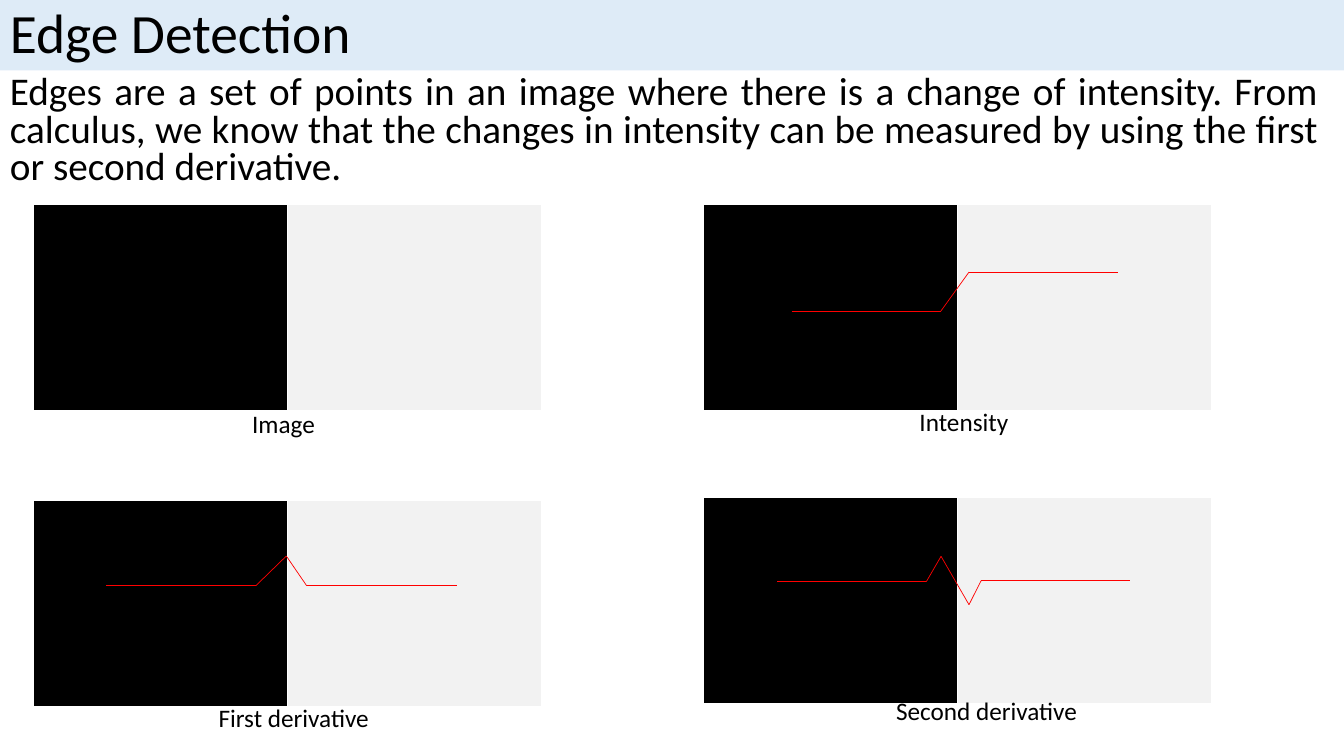
from itertools import pairwise

from lxml import etree
from pptx import Presentation
from pptx.dml.color import RGBColor
from pptx.enum.shapes import MSO_CONNECTOR, MSO_SHAPE
from pptx.enum.text import MSO_ANCHOR, PP_ALIGN
from pptx.oxml.ns import qn
from pptx.util import Inches, Pt

# Content
TITLE = "Edge Detection"
DEFINITION = (
    "Edges are a set of points in an image where there is a change of intensity. "
    "From calculus, we know that the changes in intensity can be measured by using "
    "the first or second derivative."
)
# Caption boxes (left, top, width) and curve points are percentages of the panel.
PANELS = [
    {"caption": "Image", "column": 0, "top": 2.03,
     "caption_box": (41.1, 95.6, 31.3), "curve": []},
    {"caption": "Intensity", "column": 1, "top": 2.03,
     "caption_box": (40.5, 94.7, 31.3),
     "curve": [(17.3, 51.5), (46.6, 51.5), (52.2, 32.5), (81.5, 32.5)]},
    {"caption": "First derivative", "column": 0, "top": 4.96,
     "caption_box": (34.5, 95.1, 35.1),
     "curve": [(14.3, 41.3), (43.8, 41.3), (49.8, 27), (53.8, 41.3), (83.3, 41.3)]},
    {"caption": "Second derivative", "column": 1, "top": 4.93,
     "caption_box": (35.9, 93.2, 42.5),
     "curve": [(14.5, 40.8), (43.8, 40.8), (46.7, 28.6), (52.2, 51.9),
               (54.6, 40.3), (83.9, 40.3)]},
]

# Layout and style
SLIDE_W, SLIDE_H = 13.33, 7.5
BAND_H = 0.7
PANEL_W, PANEL_H = 5.04, 2.06
FIRST_LEFT, COLUMN_STEP = 0.33, 6.65
FONT = "Calibri"
COLORS = {"band": "DEEBF7", "dark": "000000", "light": "F2F2F2",
          "curve": "FF0000", "border": "FFFFFF", "text": "000000"}
BORDERS = {"a:lnL": 1, "a:lnR": 1, "a:lnT": 1, "a:lnB": 3}


def rgb(name):
    return RGBColor.from_string(COLORS[name])


def write(shape, words, size, align=PP_ALIGN.LEFT, spacing=1.0, anchor=MSO_ANCHOR.TOP):
    frame = shape.text_frame
    frame.word_wrap = True
    frame.vertical_anchor = anchor
    paragraph = frame.paragraphs[0]
    paragraph.alignment = align
    paragraph.line_spacing = spacing
    run = paragraph.add_run()
    run.text = words
    run.font.name = FONT
    run.font.size = Pt(size)
    run.font.color.rgb = rgb("text")


def add_borders(cell):
    properties = cell._tc.get_or_add_tcPr()
    for position, (tag, width) in enumerate(BORDERS.items()):
        line = etree.Element(qn(tag), w=str(Pt(width)))
        fill = etree.SubElement(line, qn("a:solidFill"))
        etree.SubElement(fill, qn("a:srgbClr"), val=COLORS["border"])
        properties.insert(position, line)


def add_halves(shapes, left, top):
    table = shapes.add_table(1, 2, Inches(left), Inches(top),
                             Inches(PANEL_W), Inches(PANEL_H)).table
    for cell, tone in zip(table.iter_cells(), ("dark", "light")):
        cell.fill.solid()
        cell.fill.fore_color.rgb = rgb(tone)
        add_borders(cell)


def add_curve(shapes, left, top, curve):
    points = [(Inches(left + PANEL_W * x / 100), Inches(top + PANEL_H * y / 100))
              for x, y in curve]
    for start, end in pairwise(points):
        segment = shapes.add_connector(MSO_CONNECTOR.STRAIGHT, *start, *end)
        segment.line.color.rgb = rgb("curve")
        segment.line.width = Pt(0.5)
        etree.SubElement(segment._element.spPr, qn("a:effectLst"))


def main():
    deck = Presentation()
    deck.slide_width, deck.slide_height = Inches(SLIDE_W), Inches(SLIDE_H)
    shapes = deck.slides.add_slide(deck.slide_layouts[6]).shapes

    # Title band
    band = shapes.add_shape(MSO_SHAPE.RECTANGLE, 0, 0, Inches(SLIDE_W), Inches(BAND_H))
    band.shadow.inherit = False
    band.fill.solid()
    band.fill.fore_color.rgb = rgb("band")
    band.line.fill.background()
    write(band, TITLE, 39.6, spacing=0.9, anchor=MSO_ANCHOR.MIDDLE)

    # Definition
    definition = shapes.add_textbox(0, Inches(BAND_H), Inches(13.17), Inches(1.33))
    write(definition, DEFINITION, 28, PP_ALIGN.JUSTIFY, 0.8)

    # Panels with their curves and captions
    for panel in PANELS:
        left, top = FIRST_LEFT + panel["column"] * COLUMN_STEP, panel["top"]
        add_halves(shapes, left, top)
        add_curve(shapes, left, top, panel["curve"])
        x, y, width = panel["caption_box"]
        caption = shapes.add_textbox(
            Inches(left + PANEL_W * x / 100), Inches(top + PANEL_H * y / 100),
            Inches(PANEL_W * width / 100), Inches(0.4))
        write(caption, panel["caption"], 18)

    deck.save("out.pptx")


if __name__ == "__main__":
    main()
